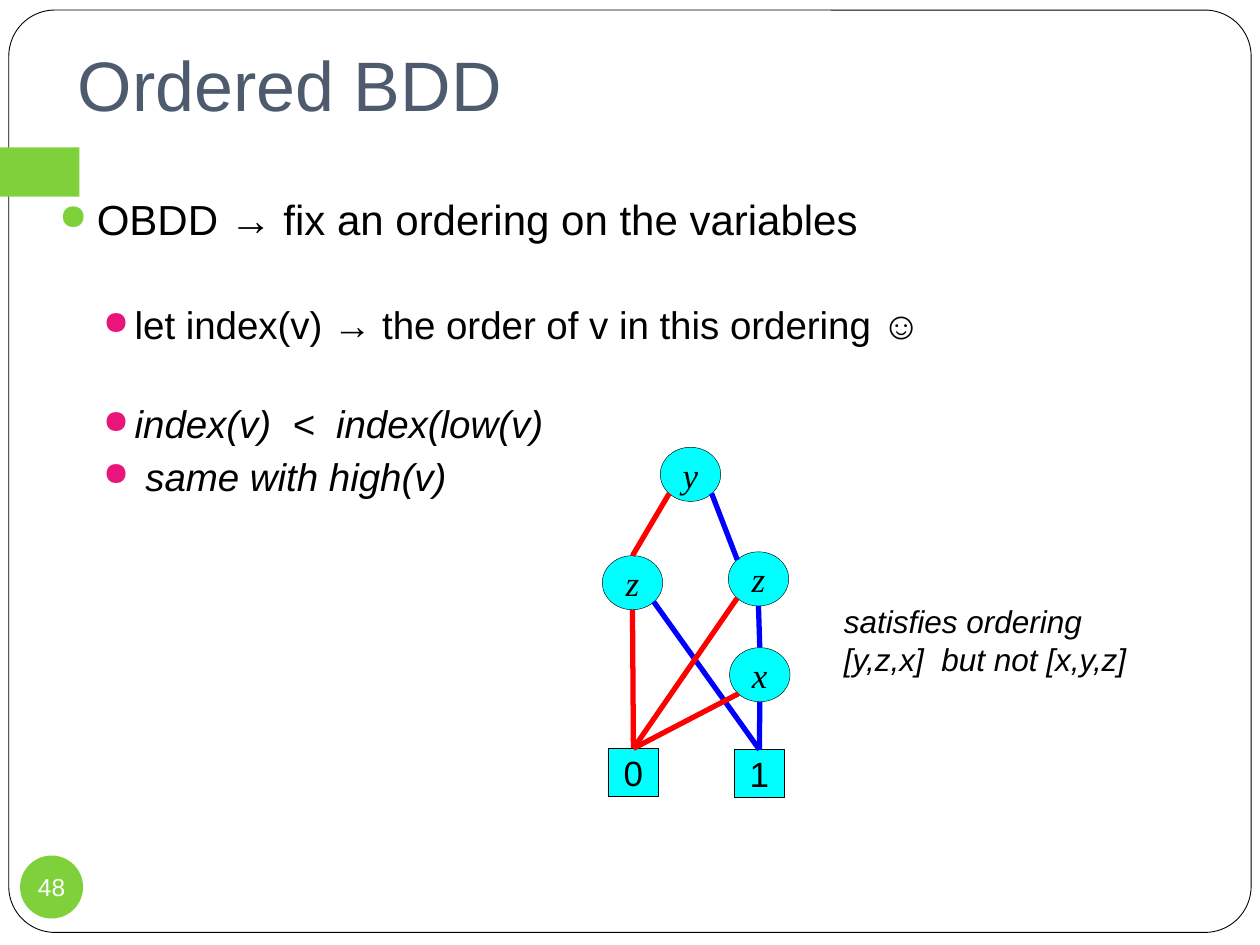
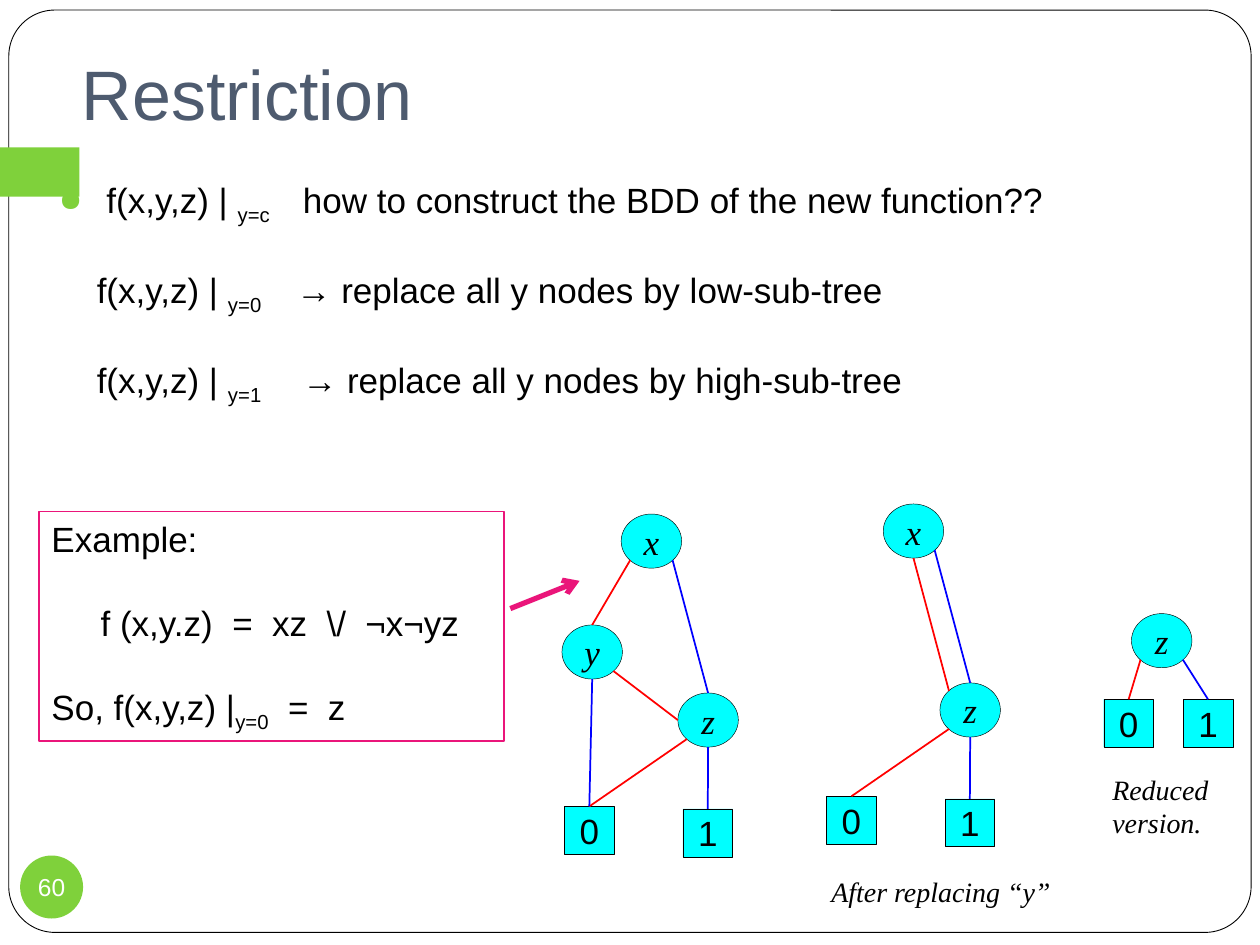
"""Build two slides on ordered and restricted binary decision diagrams."""
from lxml.etree import SubElement
from pptx import Presentation
from pptx.dml.color import RGBColor
from pptx.enum.shapes import MSO_CONNECTOR, MSO_SHAPE
from pptx.enum.text import MSO_ANCHOR, PP_ALIGN
from pptx.oxml.ns import qn
from pptx.util import Inches, Pt

WHITE = RGBColor(0xFF, 0xFF, 0xFF)
BLACK = RGBColor(0x00, 0x00, 0x00)
SLATE = RGBColor(0x4E, 0x5B, 0x6F)
GREEN = RGBColor(0x7F, 0xD1, 0x3B)
PINK = RGBColor(0xEA, 0x15, 0x7A)
CYAN = RGBColor(0x00, 0xFF, 0xFF)
LOW = RGBColor(0xFF, 0x00, 0x00)
HIGH = RGBColor(0x00, 0x00, 0xFF)

SANS = "Arial"
SERIF = "Times New Roman"
COLUMNS, ROWS = 100, 75
LINE_HEIGHT = 1.2
NODE_SIZE = (4.8, 4.3)
LEAF_SIZE = (3.95, 3.8)

TOP = (0.5, 0)
TOP_LEFT = (0.15, 0.15)
LEFT = (0, 0.5)
BOTTOM_LEFT = (0.15, 0.85)
BOTTOM = (0.5, 1)
BOTTOM_RIGHT = (0.85, 0.85)


class Deck:
    """Holds the shared style and the slide being drawn."""

    def __init__(self):
        self.presentation = Presentation()
        self.presentation.slide_width = Inches(10)
        self.presentation.slide_height = Inches(7.5)
        self.column = self.presentation.slide_width / COLUMNS
        self.row = self.presentation.slide_height / ROWS
        self.slide = None

    def place(self, left, top, width, height):
        return (round(left * self.column), round(top * self.row),
                round(width * self.column), round(height * self.row))

    def new_slide(self, title, number, title_left, title_bottom):
        self.slide = self.presentation.slides.add_slide(self.presentation.slide_layouts[6])
        frame = self.shape(MSO_SHAPE.ROUNDED_RECTANGLE, (0.7, 0.8, 98.6, 73.2), WHITE, BLACK, 0.5)
        frame.adjustments[0] = 0.05
        self.shape(MSO_SHAPE.RECTANGLE, (0, 11.7, 6.3, 3.9), GREEN)
        heading = self.text((title_left, 3, 91.5, title_bottom - 3), [title], 40, color=SLATE)
        heading.text_frame.vertical_anchor = MSO_ANCHOR.BOTTOM
        heading.text_frame.margin_bottom = Inches(0.1)
        badge = self.shape(MSO_SHAPE.OVAL, (1.6, 67.9, 5, 5), GREEN)
        self.label(badge, number, 14, color=WHITE)

    def shape(self, kind, box, fill, line=None, line_width=0.25):
        shape = self.slide.shapes.add_shape(kind, *self.place(*box))
        shape.shadow.inherit = False
        shape.fill.solid()
        shape.fill.fore_color.rgb = fill
        if line is None:
            shape.line.fill.background()
        else:
            shape.line.color.rgb = line
            shape.line.width = Pt(line_width)
        return shape

    def style(self, run, size, font=SANS, color=BLACK, italic=False):
        run.font.size = Pt(size)
        run.font.name = font
        run.font.color.rgb = color
        run.font.italic = italic

    def label(self, shape, text, size, **style):
        frame = shape.text_frame
        frame.word_wrap = False
        frame.vertical_anchor = MSO_ANCHOR.MIDDLE
        frame.margin_left = frame.margin_right = frame.margin_top = frame.margin_bottom = 0
        paragraph = frame.paragraphs[0]
        paragraph.text = text
        paragraph.alignment = PP_ALIGN.CENTER
        self.style(paragraph.runs[0], size, **style)

    def text(self, box, pieces, size, wrap=True, **style):
        shape = self.slide.shapes.add_textbox(*self.place(*box))
        shape.text_frame.word_wrap = wrap
        self.add_pieces(shape.text_frame.paragraphs[0], pieces, size, **style)
        return shape

    def add_pieces(self, paragraph, pieces, size, **style):
        """Strings are plain, tuples are subscripts, numbers are spaces widened by points."""
        for piece in pieces:
            run = paragraph.add_run()
            if isinstance(piece, str):
                run.text = piece
            elif isinstance(piece, tuple):
                run.text = piece[0]
                run.font._element.set("baseline", "-25000")
            else:
                run.text = " "
                run.font._element.set("spc", str(round(piece * 100)))
            self.style(run, size, **style)

    def paragraph(self, frame, pieces, size, before=0.0, margin=0.0, hanging=0.0,
                  bullet=None, **style):
        first = not frame.paragraphs[0].runs
        paragraph = frame.paragraphs[0] if first else frame.add_paragraph()
        properties = paragraph._p.get_or_add_pPr()
        properties.set("marL", str(Inches(margin)))
        properties.set("indent", str(-Inches(hanging)))
        if bullet is not None:
            color = SubElement(properties, qn("a:buClr"))
            SubElement(color, qn("a:srgbClr"), val=str(bullet))
            SubElement(properties, qn("a:buSzPct"), val="85000")
            SubElement(properties, qn("a:buChar"), char="●")
        if not first:
            paragraph.space_before = Pt(before)
        paragraph.alignment = PP_ALIGN.LEFT
        self.add_pieces(paragraph, pieces, size, **style)

    def body(self, box):
        shape = self.slide.shapes.add_textbox(*self.place(*box))
        shape.text_frame.word_wrap = True
        return shape.text_frame

    def line(self, start, end, color, width):
        connector = self.slide.shapes.add_connector(
            MSO_CONNECTOR.STRAIGHT, *(round(value) for value in (*start, *end)))
        connector.line.color.rgb = color
        connector.line.width = Pt(width)
        SubElement(connector._element.spPr, qn("a:effectLst"))
        return connector

    def arrow(self, start, end, color, width):
        points = [(left * self.column, top * self.row) for left, top in (start, end)]
        connector = self.line(*points, color, width)
        SubElement(connector.line._get_or_add_ln(), qn("a:tailEnd"), type="arrow")

    def node(self, text, left, top):
        if text.isdigit():
            shape = self.shape(MSO_SHAPE.RECTANGLE, (left, top, *LEAF_SIZE), CYAN, BLACK)
            self.label(shape, text, 20)
        else:
            shape = self.shape(MSO_SHAPE.OVAL, (left, top, *NODE_SIZE), CYAN, BLACK)
            self.label(shape, text, 20, font=SERIF, italic=True)
        return shape

    def diagram(self, left, top, nodes, edges, width=1):
        """Draw nodes at offsets from a corner, then the edges between their ports."""
        shapes = {name: self.node(name[0], left + across, top + down)
                  for name, (across, down) in nodes.items()}
        for source, source_port, target, target_port, color in edges:
            ends = [(shapes[name].left + port[0] * shapes[name].width,
                     shapes[name].top + port[1] * shapes[name].height)
                    for name, port in ((source, source_port), (target, target_port))]
            connector = self.line(*ends, color, width)
            if target_port == TOP:
                connector.end_connect(shapes[target], 0)


def ordered_slide(deck):
    """Draw the slide on variable ordering."""
    deck.new_slide("Ordered BDD", "48", 5.2, 11)
    frame = deck.body((3.7, 14.9, 90.5, 57.5))
    deck.paragraph(frame, ["OBDD → fix an ordering on the variables"], 24,
                   margin=0.3, hanging=0.3, bullet=GREEN)
    points = [
        (["let index(v) → the order of v in this ordering ☺"], 24 * LINE_HEIGHT, False),
        (["index(v)", 6, "<", 6, "index(low(v)"], 22 * LINE_HEIGHT, True),
        ([" same with high(v)"], 0, True),
    ]
    for pieces, gap, italic in points:
        deck.paragraph(frame, pieces, 22, before=gap + 3.7, margin=0.6, hanging=0.25,
                       bullet=PINK, italic=italic)
    nodes = {"y": (4.6, 0), "z left": (0, 8.6), "z right": (10, 8.3),
             "x": (10.1, 15.9), "0": (0.5, 23.9), "1": (10.5, 24)}
    edges = [
        ("y", BOTTOM_RIGHT, "z right", TOP_LEFT, HIGH),
        ("z right", BOTTOM, "x", TOP, HIGH),
        ("x", BOTTOM, "1", TOP, HIGH),
        ("z left", BOTTOM_RIGHT, "1", TOP, HIGH),
        ("y", BOTTOM_LEFT, "z left", TOP, LOW),
        ("z left", BOTTOM, "0", TOP, LOW),
        ("x", BOTTOM_LEFT, "0", TOP, LOW),
        ("z right", BOTTOM_LEFT, "0", TOP, LOW),
    ]
    deck.diagram(47.8, 35.5, nodes, edges, width=3)
    deck.text((66, 47.3, 27.6, 7), ["satisfies ordering [y,z,x]", 5, "but not [x,y,z]"],
              18, italic=True)


def restriction_slide(deck):
    """Draw the slide on restricting a variable."""
    deck.new_slide("Restriction", "60", 5.5, 11.7)
    gap = 20 * LINE_HEIGHT
    frame = deck.body((3.7, 13.7, 94.3, 27.9))
    deck.paragraph(frame, [" f(x,y,z) | ", ("y=c",), 13.3,
                           "how to construct the BDD of the new function??"],
                   20, margin=0.3, hanging=0.3, bullet=GREEN)
    for value, space, branch in (("0", 14.5, "low"), ("1", 17.8, "high")):
        deck.paragraph(frame, ["f(x,y,z) | ", (f"y={value}",), space,
                               f"→ replace all y nodes by {branch}-sub-tree"],
                       20, before=gap, margin=0.3)

    example = deck.shape(MSO_SHAPE.RECTANGLE, (3.1, 40.6, 36.9, 18.2), WHITE, PINK, 1)
    frame = example.text_frame
    frame.word_wrap = True
    frame.vertical_anchor = MSO_ANCHOR.TOP
    deck.paragraph(frame, ["Example:"], 20)
    deck.paragraph(frame, ["f (x,y.z)", 5.5, "=", 5.5, "xz", 5.5, "\\/", 5.5, "¬x¬yz"],
                   20, before=gap, margin=0.39)
    deck.paragraph(frame, ["So, f(x,y,z) |", ("y=0",), 5.5, "=", 5.5, "z"], 20, before=gap)

    replaced = {"x": (4.5, 0), "z": (9, 14.2), "0": (0, 23.2), "1": (9.4, 23.4)}
    shared_edges = [("z", BOTTOM, "1", TOP, HIGH), ("z", BOTTOM_LEFT, "0", TOP, LOW)]
    deck.diagram(44.8, 40.8, {**replaced, "y": (-0.2, 8.8)}, shared_edges + [
        ("x", BOTTOM_RIGHT, "z", TOP, HIGH),
        ("y", BOTTOM, "0", TOP, HIGH),
        ("x", BOTTOM_LEFT, "y", TOP, LOW),
        ("y", BOTTOM_RIGHT, "z", LEFT, LOW),
    ])
    deck.diagram(65.6, 40, replaced, shared_edges + [
        ("x", BOTTOM_RIGHT, "z", TOP, HIGH),
        ("x", BOTTOM, "z", TOP_LEFT, LOW),
    ])
    deck.diagram(87.6, 48.7, {"z": (2.2, 0), "0": (0, 6.8), "1": (6.3, 6.8)}, [
        ("z", BOTTOM_RIGHT, "1", TOP, HIGH),
        ("z", BOTTOM_LEFT, "0", TOP, LOW),
    ])
    deck.arrow((40.5, 48.3), (46, 46.1), PINK, 3)
    captions = [((65, 68.9, 19.5, 3.7), "After replacing “y”", False),
                ((87.3, 60.8, 12.7, 6.4), "Reduced version.", True)]
    for box, caption, wrap in captions:
        deck.text(box, [caption], 16, wrap=wrap, font=SERIF, italic=True)


def main():
    """Build and save the slides."""
    deck = Deck()
    ordered_slide(deck)
    restriction_slide(deck)
    deck.presentation.save("out.pptx")


if __name__ == "__main__":
    main()
